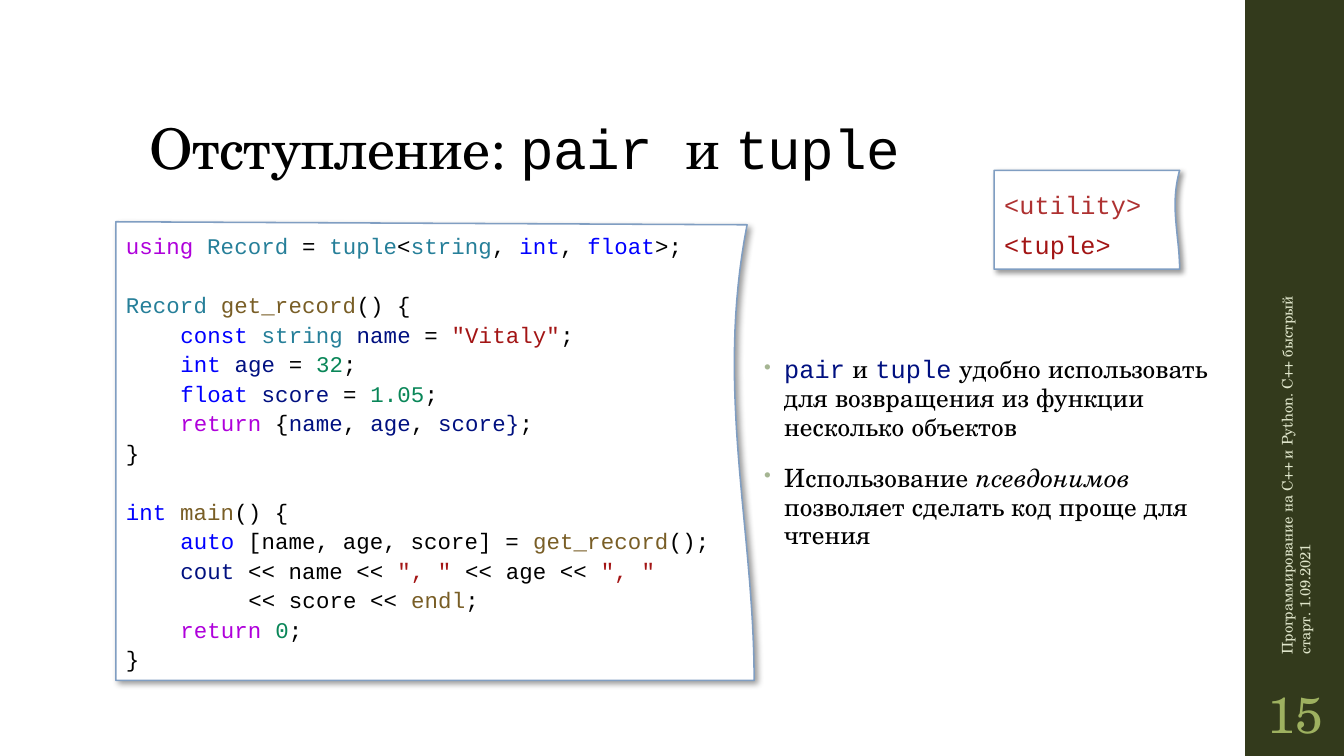
import pptx
import pptx.dml.color
import pptx.enum.shapes
import pptx.enum.text
import pptx.oxml
import pptx.oxml.ns
import pptx.util
from pptx.util import Inches

SERIF, MONO = "TeX Gyre Schola", "Courier New"
BLACK, WHITE, OLIVE, FRAME = "000000", "FFFFFF", "333A1C", "809EC2"
CONTROL, TYPE, KEYWORD, FUNCTION = "AF00DB", "267F99", "0000FF", "795E26"
VARIABLE, STRING, NUMBER, HEADER = "001080", "A31515", "098658", "AE3131"
CODE_COLUMN = 0.135  # width of one character of code, inches
CODE_LINE = 21  # height of one line of code, points

# Each line: indent in characters, empty lines before it, coloured tokens
CODE = [
    (0, 0, [("using ", CONTROL), ("Record", TYPE), (" = ", BLACK), ("tuple", TYPE),
            ("<", BLACK), ("string", TYPE), (", ", BLACK), ("int", KEYWORD),
            (", ", BLACK), ("float", KEYWORD), (">;", BLACK)]),
    (0, 1, [("Record ", TYPE), ("get_record", FUNCTION), ("() {", BLACK)]),
    (4, 0, [("const ", KEYWORD), ("string ", TYPE), ("name", VARIABLE),
            (" = ", BLACK), ('"Vitaly"', STRING), (";", BLACK)]),
    (4, 0, [("int ", KEYWORD), ("age", VARIABLE), (" = ", BLACK),
            ("32", NUMBER), (";", BLACK)]),
    (4, 0, [("float ", KEYWORD), ("score", VARIABLE), (" = ", BLACK),
            ("1.05", NUMBER), (";", BLACK)]),
    (4, 0, [("return", CONTROL), (" {", BLACK), ("name", VARIABLE), (", ", BLACK),
            ("age", VARIABLE), (", ", BLACK), ("score}", VARIABLE), (";", BLACK)]),
    (0, 0, [("}", BLACK)]),
    (0, 1, [("int ", KEYWORD), ("main", FUNCTION), ("() {", BLACK)]),
    (4, 0, [("auto", KEYWORD), (" [name, age, score] = ", BLACK),
            ("get_record", FUNCTION), ("();", BLACK)]),
    (4, 0, [("cout", VARIABLE), (" << name << ", BLACK), ('", "', STRING),
            (" << age << ", BLACK), ('", "', STRING)]),
    (9, 0, [("<< score << ", BLACK), ("endl", FUNCTION), (";", BLACK)]),
    (4, 0, [("return ", CONTROL), ("0", NUMBER), (";", BLACK)]),
    (0, 0, [("}", BLACK)]),
]
HEADERS = [(0, 0, [("<utility>", HEADER)]), (0, 0, [("<tuple>", STRING)])]


def rgb(value):
    return pptx.dml.color.RGBColor.from_string(value)


def add_run(paragraph, text, size, font=SERIF, color=BLACK, italic=False, spacing=0):
    """Spacing between characters is in points."""
    run = paragraph.add_run()
    run.text = text
    run.font.size = pptx.util.Pt(size)
    run.font.name = font
    run.font.italic = italic
    run.font.color.rgb = rgb(color)
    if spacing:
        run.font._element.set("spc", str(round(spacing * 100)))


def add_paragraph(frame, first, line_spacing=1.0, before=0, after=0, left=0, hanging=0):
    paragraph = frame.paragraphs[0] if first else frame.add_paragraph()
    paragraph.alignment = pptx.enum.text.PP_ALIGN.LEFT
    paragraph.line_spacing = line_spacing
    paragraph.space_before = pptx.util.Pt(before)
    paragraph.space_after = pptx.util.Pt(after)
    properties = paragraph._p.get_or_add_pPr()
    properties.set("marL", str(Inches(left)))
    properties.set("indent", str(-Inches(hanging)))
    return paragraph


def append_xml(parent, xml):
    declaration = pptx.oxml.ns.nsdecls("a")
    parent.append(pptx.oxml.parse_xml(xml.replace("NS", declaration, 1)))


def add_text_box(slide, left, top, width, height, middle=False):
    box = slide.shapes.add_textbox(Inches(left), Inches(top), Inches(width), Inches(height))
    box.text_frame.word_wrap = True
    if middle:
        box.text_frame.vertical_anchor = pptx.enum.text.MSO_ANCHOR.MIDDLE
    return box


def bezier(start, control_1, control_2, end, steps=32):
    """Points along a cubic curve, without its start."""
    for step in range(1, steps + 1):
        t = step / steps
        weights = ((1 - t) ** 3, 3 * t * (1 - t) ** 2, 3 * t * t * (1 - t), t ** 3)
        yield tuple(sum(weight * value for weight, value in zip(weights, values))
                    for values in zip(start, control_1, control_2, end))


def add_code_sheet(slide, left, top, bottom, edge, lines, size, line_spacing):
    """Sheet whose right side is the curve given by the four points of edge."""
    outline = [edge[0], *bezier(*edge), (left, bottom)]
    builder = slide.shapes.build_freeform(Inches(left), Inches(top))
    builder.add_line_segments([(Inches(x), Inches(y)) for x, y in outline], close=True)
    sheet = builder.convert_to_shape()
    sheet.fill.solid()
    sheet.fill.fore_color.rgb = rgb(WHITE)
    sheet.line.color.rgb = rgb(FRAME)
    sheet.line.width = pptx.util.Pt(1.1)
    sheet.shadow.inherit = False
    effects = sheet._element.spPr.find(pptx.oxml.ns.qn("a:effectLst"))
    append_xml(effects, '<a:outerShdw NS blurRad="50800" dist="38100" dir="2700000" '
                        'algn="tl" rotWithShape="0"><a:srgbClr val="000000">'
                        '<a:alpha val="40000"/></a:srgbClr></a:outerShdw>')
    frame = sheet.text_frame
    frame.word_wrap = True
    frame.vertical_anchor = pptx.enum.text.MSO_ANCHOR.MIDDLE
    for index, (indent, empty_lines, tokens) in enumerate(lines):
        paragraph = add_paragraph(frame, index == 0, line_spacing,
                                  before=empty_lines * CODE_LINE, left=indent * CODE_COLUMN)
        for text, color in tokens:
            add_run(paragraph, text, size, MONO, color, spacing=0.1)


def add_title(slide, left, top, width, height):
    title = slide.shapes.title
    title.left, title.top = Inches(left), Inches(top)
    title.width, title.height = Inches(width), Inches(height)
    frame = title.text_frame
    frame.auto_size = pptx.enum.text.MSO_AUTO_SIZE.NONE
    frame.vertical_anchor = pptx.enum.text.MSO_ANCHOR.BOTTOM
    paragraph = add_paragraph(frame, True, 0.9)
    for text, font in (("Отступление: ", SERIF), ("pair ", MONO), ("и ", SERIF), ("tuple", MONO)):
        add_run(paragraph, text, 40, font, spacing=-0.5)


def add_bullets(slide, left, top, width, height):
    frame = add_text_box(slide, left, top, width, height).text_frame
    code = {"font": MONO, "color": VARIABLE}
    bullets = [
        [("pair", code), (" и ", {}), ("tuple", code),
         (" удобно использовать для возвращения из функции несколько объектов", {})],
        [("Использование ", {}), ("псевдонимов", {"italic": True}),
         (" позволяет сделать код проще для чтения", {})],
    ]
    for index, runs in enumerate(bullets):
        paragraph = add_paragraph(frame, index == 0, 0.95, before=14, after=2,
                                  left=0.2, hanging=0.2)
        properties = paragraph._p.get_or_add_pPr()
        append_xml(properties, '<a:buClr NS><a:srgbClr val="A5B592"/></a:buClr>')
        append_xml(properties, '<a:buSzPct NS val="80000"/>')
        append_xml(properties, '<a:buChar NS char="•"/>')
        for text, options in runs:
            add_run(paragraph, text, 18, spacing=0.1, **options)


def add_side_band(slide, left, width, height):
    band = slide.shapes.add_shape(pptx.enum.shapes.MSO_SHAPE.RECTANGLE,
                                  Inches(left), 0, Inches(width), Inches(height))
    band.fill.solid()
    band.fill.fore_color.rgb = rgb(OLIVE)
    band.line.fill.background()
    band.shadow.inherit = False

    length, thickness, center_y = 3.92, 0.4, 4.63
    footer = add_text_box(slide, left + (width - length) / 2, center_y - thickness / 2,
                          length, thickness, middle=True)
    footer.rotation = 270
    add_run(add_paragraph(footer.text_frame, True),
            "Программирование на C++ и Python. C++ быстрый старт. 1.09.2021",
            10.5, color="DFE5CA")

    number = add_text_box(slide, left, height - 0.75, width, 0.65, middle=True)
    frame = number.text_frame
    frame.margin_left = frame.margin_right = Inches(0.05)
    paragraph = add_paragraph(frame, True)
    paragraph.alignment = pptx.enum.text.PP_ALIGN.CENTER
    add_run(paragraph, "15", 36, color="9EB160")


def main():
    presentation = pptx.Presentation()
    presentation.slide_width = Inches(13.33)
    presentation.slide_height = Inches(7.5)
    slide = presentation.slides.add_slide(presentation.slide_layouts.get_by_name("Title Only"))
    add_side_band(slide, 12.35, 1, 7.5)
    add_title(slide, 1.38, 0.4, 10.6, 1.45)
    add_bullets(slide, 7.48, 3.48, 4.64, 2.92)
    add_code_sheet(slide, 1.15, 2.2, 6.75,
                   [(7.41, 2.23), (7.09, 3.88), (7.48, 5.23), (7.48, 6.75)], CODE, 16, 1.1)
    add_code_sheet(slide, 9.86, 1.69, 2.67,
                   [(11.7, 1.69), (11.6, 2.05), (11.7, 2.34), (11.7, 2.67)], HEADERS, 18, 1.3)
    presentation.save("out.pptx")


if __name__ == "__main__":
    main()
